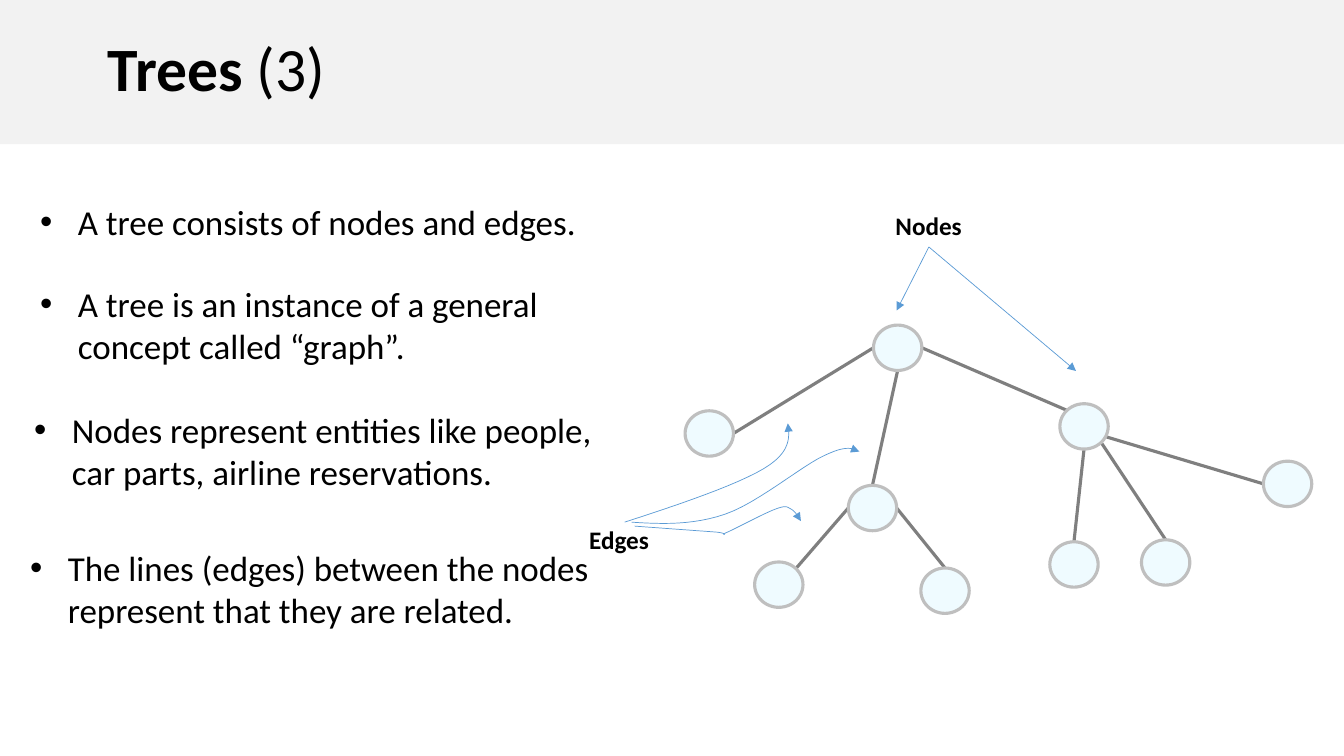
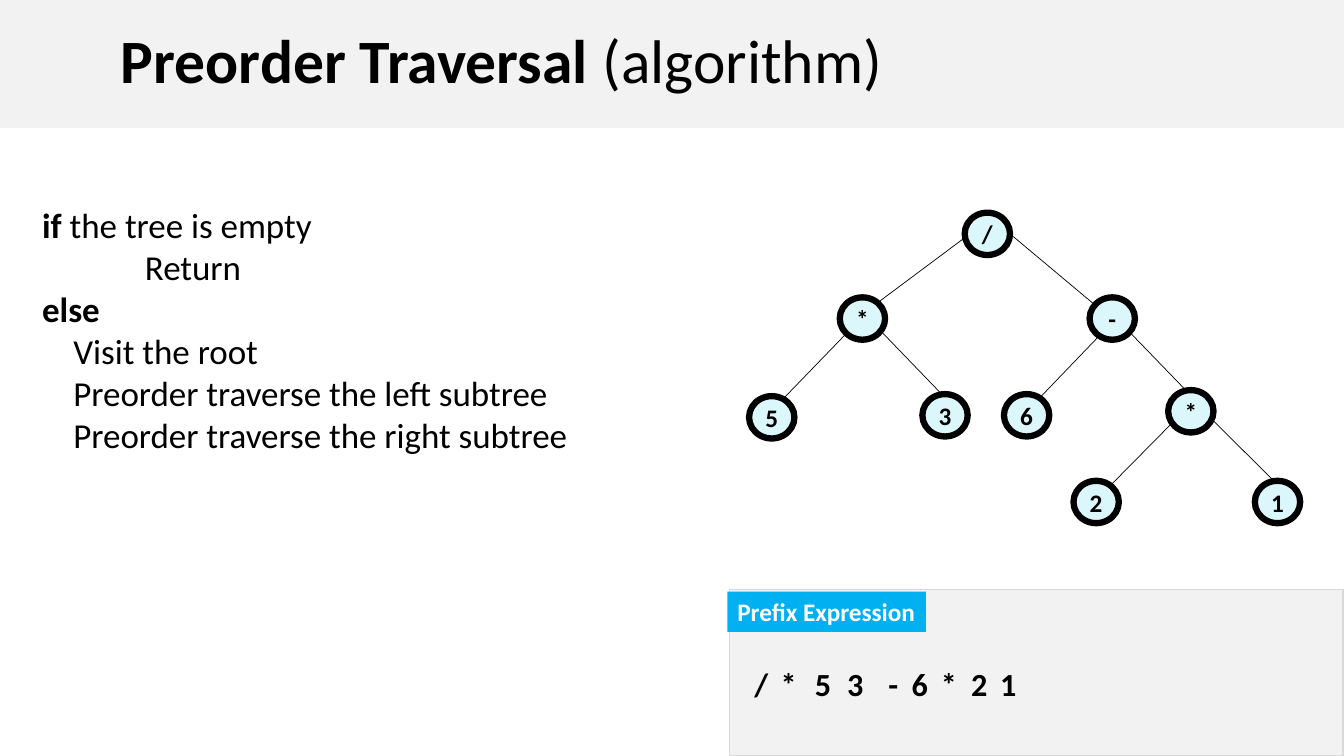
from dataclasses import dataclass
from math import cos, radians, sin

from lxml import etree
from pptx import Presentation
from pptx import util as u
from pptx.dml.color import RGBColor
from pptx.enum import shapes, text
from pptx.oxml.ns import qn

COLS, ROWS = 133.4, 75
CELL = u.Inches(0.1)


@dataclass(frozen=True)
class Theme:
    font: str = "Calibri"
    ink: str = "000000"
    paper: str = "FFFFFF"
    band: str = "F2F2F2"
    panel_line: str = "D9D9D9"
    accent: str = "00B0F0"
    pointer: str = "5B9BD5"
    title: int = 44
    body: int = 25
    token: int = 23
    label: int = 18
    hairline: float = 0.5


@dataclass(frozen=True)
class TreeStyle:
    width: float
    height: float
    fill: str
    outline: str
    outline_pt: float
    edge: str
    edge_pt: float


PLAIN_TREE = TreeStyle(4.8, 4.5, "EFFBFF", "BFBFBF", 2.25, "7F7F7F", 2.25)
EXPRESSION_TREE = TreeStyle(4.5, 4.2, "DCF7FC", "000000", 4.5, "000000", 0.5)


def grid(*cells):
    return [round(c * CELL) for c in cells]


def bezier(a, b, c, d, steps=12):
    for i in range(1, steps + 1):
        t = i / steps
        v = 1 - t
        yield tuple(v**3 * i0 + 3 * v * v * t * i1 + 3 * v * t * t * i2 + t**3 * i3
                    for i0, i1, i2, i3 in zip(a, b, c, d))


class Deck:
    """Draws tree slides on a grid of tenth-inch columns and rows."""

    def __init__(self, theme):
        self.theme = theme
        self.prs = Presentation()
        self.prs.slide_width, self.prs.slide_height = grid(COLS, ROWS)
        self.s = None

    def slide(self, runs, band_rows, indent):
        self.s = self.prs.slides.add_slide(self.prs.slide_layouts[6])
        sp = self.box(0, 0, COLS, band_rows, self.theme.band)
        self.fill_text(sp, [runs], self.theme.title)
        sp.text_frame.margin_left = grid(indent)[0]
        sp.text_frame.vertical_anchor = text.MSO_ANCHOR.MIDDLE
        sp.text_frame.paragraphs[0].line_spacing = 0.9

    def box(self, x, y, w, h, fill, outline=None, pt=1.0,
            kind=shapes.MSO_SHAPE.RECTANGLE):
        sp = self.s.shapes.add_shape(kind, *grid(x, y, w, h))
        sp.shadow.inherit = False
        sp.fill.solid()
        sp.fill.fore_color.rgb = RGBColor.from_string(fill)
        if outline:
            self.stroke(sp, outline, pt)
        else:
            sp.line.fill.background()
        return sp

    def stroke(self, sp, color, pt, arrow=False):
        sp.line.color.rgb = RGBColor.from_string(color)
        sp.line.width = u.Pt(pt)
        if arrow:
            ln = sp._element.spPr.find(qn("a:ln"))
            etree.SubElement(ln, qn("a:tailEnd"), type="triangle")

    def fill_text(self, sp, paragraphs, size, color=None, wrap=True,
                  align=text.PP_ALIGN.LEFT):
        tf = sp.text_frame
        tf.word_wrap = wrap
        for i, runs in enumerate(paragraphs):
            p = tf.add_paragraph() if i else tf.paragraphs[0]
            p.alignment = align
            for words, bold in runs:
                r = p.add_run()
                r.text = words
                r.font.name = self.theme.font
                r.font.size = u.Pt(size)
                r.font.bold = bold
                r.font.color.rgb = RGBColor.from_string(color or self.theme.ink)
        return tf

    def text(self, x, y, w, h, paragraphs, size, wrap=True):
        sp = self.s.shapes.add_textbox(*grid(x, y, w, h))
        return self.fill_text(sp, paragraphs, size, wrap=wrap)

    def label(self, x, y, w, h, words, size):
        self.text(x, y, w, h, [[(words, True)]], size, wrap=False)

    def bullet(self, x, y, h, words):
        tf = self.text(x, y, 60, h, [[(words, False)]], self.theme.body)
        pPr = tf.paragraphs[0]._p.get_or_add_pPr()
        indent = grid(3.75)[0]
        pPr.set("marL", str(indent))
        pPr.set("indent", str(-indent))
        etree.SubElement(pPr, qn("a:buFont"), typeface="Arial")
        etree.SubElement(pPr, qn("a:buChar"), char="•")

    def code(self, x, y, w, h, lines):
        tf = self.text(x, y, w, h, [runs for _, runs in lines], self.theme.body)
        for p, (indent, _) in zip(tf.paragraphs, lines):
            p._p.get_or_add_pPr().set("marL", str(grid(indent)[0]))

    def line(self, start, end, color, pt, arrow=False):
        cxn = self.s.shapes.add_connector(
            shapes.MSO_CONNECTOR.STRAIGHT, *grid(*start, *end))
        self.stroke(cxn, color, pt, arrow)
        etree.SubElement(cxn._element.spPr, qn("a:effectLst"))

    def pointer(self, start, end):
        self.line(start, end, self.theme.pointer, self.theme.hairline, arrow=True)

    def curve(self, points):
        trace = [pt for i in range(0, len(points) - 1, 3)
                 for pt in bezier(*points[i:i + 4])]
        builder = self.s.shapes.build_freeform(*grid(*points[0]))
        builder.add_line_segments([grid(*pt) for pt in trace], close=False)
        sp = builder.convert_to_shape()
        sp.shadow.inherit = False
        sp.fill.background()
        self.stroke(sp, self.theme.pointer, self.theme.hairline, arrow=True)

    def tree(self, nodes, edges, style):
        def rim(name, angle):
            cx, cy = nodes[name][:2]
            a = radians(angle)
            return cx + style.width / 2 * cos(a), cy + style.height / 2 * sin(a)

        for parent, leave, child, arrive in edges:
            self.line(rim(parent, leave), rim(child, arrive),
                      style.edge, style.edge_pt)
        for cx, cy, *words in nodes.values():
            sp = self.box(cx - style.width / 2, cy - style.height / 2,
                          style.width, style.height, style.fill,
                          style.outline, style.outline_pt,
                          shapes.MSO_SHAPE.OVAL)
            if words:
                tf = self.fill_text(sp, [[(words[0], True)]], self.theme.label,
                                    wrap=False, align=text.PP_ALIGN.CENTER)
                tf.margin_left = tf.margin_right = 0
                tf.margin_top = tf.margin_bottom = 0
                tf.vertical_anchor = text.MSO_ANCHOR.MIDDLE


def trees_slide(deck):
    deck.slide([("Trees ", True), ("(3)", False)], 14.3, 10.7)
    nodes = {
        "root": (89.1, 34.5), "left": (70.4, 43), "middle": (86.6, 50.4),
        "right": (107.6, 42.3), "middle left": (77.3, 58),
        "middle right": (93.8, 58.6), "right left": (106.6, 56),
        "right middle": (115.7, 55.8), "right right": (127.8, 48),
    }
    edges = [
        ("root", 180, "left", 0), ("root", 90, "middle", 270),
        ("root", 0, "right", 225), ("middle", 180, "middle left", 315),
        ("middle", 0, "middle right", 270), ("right", 90, "right left", 270),
        ("right", 45, "right middle", 270), ("right", 27, "right right", 180),
    ]
    deck.tree(nodes, edges, PLAIN_TREE)
    deck.label(87.9, 20.4, 8.6, 4, "Nodes", deck.theme.label)
    for target in [(89, 30.8), (106.8, 36.8)]:
        deck.pointer((92.2, 24.5), target)
    deck.label(57.5, 51.5, 8, 4, "Edges", deck.theme.label)
    for points in [
        [(62, 51.8), (67.6, 50), (73.1, 48.1), (75.8, 46.5),
         (78.5, 44.9), (78.4, 43.4), (78.2, 42)],
        [(62.7, 51.8), (65.7, 52), (68.8, 52.1), (72, 51),
         (75.2, 49.9), (79.6, 46.2), (81.8, 45.2),
         (84.1, 44.1), (84.7, 44.5), (85.3, 44.8)],
        [(63, 52.2), (65.7, 52.4), (68.5, 52.6), (71.2, 52.8),
         (72.7, 53), (71.2, 53.2), (72.2, 52.8),
         (73.1, 52.4), (75.9, 50.9), (77, 50.5),
         (78.1, 50.1), (78.1, 50.3), (78.5, 50.5),
         (78.9, 50.7), (79.2, 51.2), (79.5, 51.7)],
    ]:
        deck.curve(points)
    for x, y, h, words in [
        (3, 19.4, 5.2, "A tree consists of nodes and edges."),
        (3, 27.5, 9.4, "A tree is an instance of a general concept called “graph”."),
        (2.4, 40, 9.4,
         "Nodes represent entities like people, car parts, airline reservations."),
        (2, 53.7, 9.4,
         "The lines (edges) between the nodes represent that they are related."),
    ]:
        deck.bullet(x, y, h, words)


def preorder_slide(deck):
    theme = deck.theme
    deck.slide([("Preorder Traversal ", True), ("(algorithm)", False)], 12.7, 12)
    deck.code(3.2, 19.7, 57.8, 30.2, [
        (0, [("if ", True), ("the tree is empty", False)]),
        (10.2, [("Return", False)]),
        (0, [("else", True)]),
        (3.1, [("Visit the root", False)]),
        (3.1, [("Preorder traverse the left subtree", False)]),
        (3.1, [("Preorder traverse the right subtree", False)]),
    ])
    nodes = {
        "divide": (98, 23.2, "/"), "times": (85.6, 31.6, "*"),
        "minus": (110.4, 31.6, "-"), "five": (76.6, 41.4, "5"),
        "three": (93.8, 41.2, "3"), "six": (101.9, 41.2, "6"),
        "product": (118.2, 40.8, "*"), "two": (108.8, 49.8, "2"),
        "one": (126.8, 49.8, "1"),
    }
    edges = [
        ("divide", 170, "times", 312), ("divide", 0, "minus", 220),
        ("times", 135, "five", 300), ("times", 36, "three", 262),
        ("minus", 125, "six", 305), ("minus", 40, "product", 258),
        ("product", 146, "two", 309), ("product", 22, "one", 261),
    ]
    deck.tree(nodes, edges, EXPRESSION_TREE)
    deck.box(72.4, 58.5, 60.9, 16.5, theme.band, theme.panel_line)
    tag = deck.box(72.2, 58.7, 19.7, 4, theme.accent)
    deck.fill_text(tag, [[("Prefix Expression", True)]], theme.label,
                   theme.paper, wrap=False)
    for token, x in zip("/*53-6*21",
                        [73.9, 76.5, 79.9, 83.1, 87.2, 89.5, 92.4, 95.4, 98.3]):
        deck.label(x, 65.4, 3.6, 4.9, token, theme.token)


def main():
    deck = Deck(Theme())
    trees_slide(deck)
    preorder_slide(deck)
    deck.prs.save("out.pptx")


if __name__ == "__main__":
    main()
